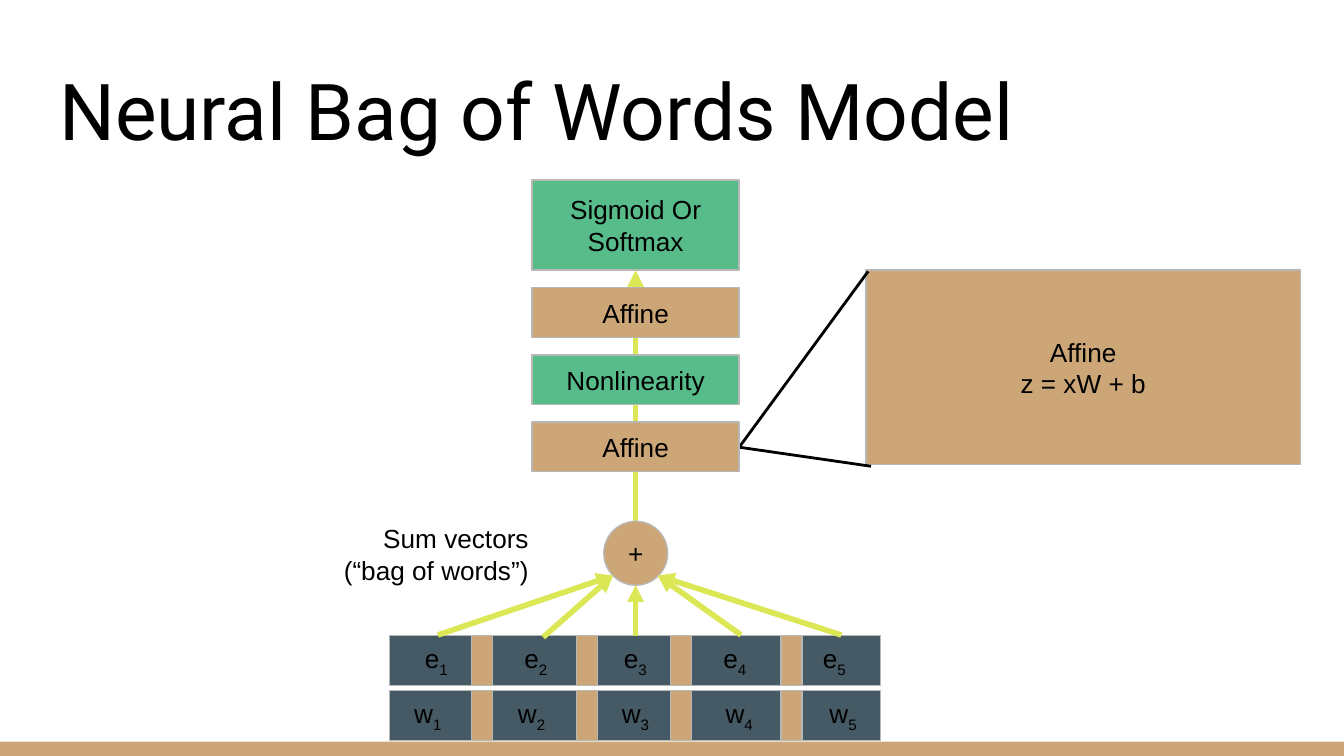
from dataclasses import dataclass

from lxml import etree
from pptx import Presentation
from pptx import util as u
from pptx.dml.color import RGBColor
from pptx.enum import shapes, text
from pptx.oxml import ns


@dataclass(frozen=True)
class Theme:
    tan: str = "CCA677"
    green: str = "57BB8A"
    slate: str = "455A64"
    lime: str = "DCE755"
    border: str = "B7B7B7"
    ink: str = "000000"
    title_font: str = "Roboto"
    label_font: str = "Arial"
    title_size: float = 42
    label_size: float = 14


@dataclass(frozen=True)
class Block:
    left: float
    top: float
    width: float
    height: float
    fill: str | None
    lines: tuple[str, ...] = ()
    kind: int = shapes.MSO_SHAPE.RECTANGLE
    border: str | None = Theme.border
    align: int = text.PP_ALIGN.CENTER


@dataclass(frozen=True)
class Link:
    start: tuple[float, float]
    end: tuple[float, float]
    color: str = Theme.lime
    width: float = 3
    arrow: bool = True


@dataclass(frozen=True)
class VectorRow:
    symbol: str
    top: float
    first: float
    pitch: float


THEME = Theme()
FRAME = {
    "word_wrap": True,
    "auto_size": text.MSO_AUTO_SIZE.NONE,
    "vertical_anchor": text.MSO_ANCHOR.MIDDLE,
    "margin_left": u.Pt(7.2),
    "margin_right": u.Pt(7.2),
    "margin_top": u.Pt(7.2),
    "margin_bottom": u.Pt(7.2),
}
LABEL_FONT = {"name": THEME.label_font, "size": u.Pt(THEME.label_size)}
TITLE_FONT = {"name": THEME.title_font, "size": u.Pt(THEME.title_size), "bold": False}

ROW_LEFT, ROW_WIDTH, ROW_HEIGHT = 208.8, 262.8, 26.6
GAP_LEFTS, GAP_WIDTH = (252.6, 308.8, 359.2, 418.4), 11.4
STACK_LEFT, STACK_WIDTH = 285.1, 110.9
CENTER = STACK_LEFT + STACK_WIDTH / 2
SUM_TOP, SUM_SIZE = 279.3, 34.2


def apply(target, values: dict) -> None:
    for name, value in values.items():
        setattr(target, name, value)


def add_run(paragraph, words: str, font: dict, baseline: int = 0) -> None:
    run = paragraph.add_run()
    run.text = words
    apply(run.font, font)
    run.font.color.rgb = RGBColor.from_string(THEME.ink)
    if baseline:
        run._r.get_or_add_rPr().set("baseline", str(baseline))


def draw_block(slide, block: Block):
    shape = slide.shapes.add_shape(
        block.kind, *map(u.Pt, (block.left, block.top, block.width, block.height)))
    shape.shadow.inherit = False
    if block.fill:
        shape.fill.solid()
        shape.fill.fore_color.rgb = RGBColor.from_string(block.fill)
    else:
        shape.fill.background()
    if block.border:
        shape.line.color.rgb = RGBColor.from_string(block.border)
        shape.line.width = u.Pt(0.75)
    else:
        shape.line.fill.background()
    frame = shape.text_frame
    apply(frame, FRAME)
    for index, line in enumerate(block.lines):
        paragraph = frame.add_paragraph() if index else frame.paragraphs[0]
        paragraph.alignment = block.align
        add_run(paragraph, line, LABEL_FONT)
    return shape


def draw_link(slide, link: Link) -> None:
    connector = slide.shapes.add_connector(
        shapes.MSO_CONNECTOR.STRAIGHT, *map(u.Pt, (*link.start, *link.end)))
    connector.line.color.rgb = RGBColor.from_string(link.color)
    connector.line.width = u.Pt(link.width)
    if link.arrow:
        etree.SubElement(connector.line._get_or_add_ln(), ns.qn("a:tailEnd"), type="triangle")
    etree.SubElement(connector._element.spPr, ns.qn("a:effectLst"))


def draw_vector_row(slide, row: VectorRow) -> None:
    bar = draw_block(slide, Block(ROW_LEFT, row.top, ROW_WIDTH, ROW_HEIGHT, THEME.slate))
    apply(bar.text_frame, {"margin_left": u.Pt(row.first), "margin_right": 0})
    paragraph = bar.text_frame.paragraphs[0]
    paragraph.alignment = text.PP_ALIGN.LEFT
    tabs = etree.SubElement(paragraph._p.get_or_add_pPr(), ns.qn("a:tabLst"))
    for index in range(5):
        if index:
            etree.SubElement(tabs, ns.qn("a:tab"), pos=str(u.Pt(index * row.pitch)), algn="l")
        add_run(paragraph, ("\t" if index else "") + row.symbol, LABEL_FONT)
        add_run(paragraph, str(index + 1), LABEL_FONT, -25000)
    for left in GAP_LEFTS:
        draw_block(slide, Block(left, row.top, GAP_WIDTH, ROW_HEIGHT, THEME.tan))


def draw_title(slide, words: str) -> None:
    title = slide.shapes.title
    apply(title, {"left": u.Pt(24.5), "top": u.Pt(25.2),
                  "width": u.Pt(671), "height": u.Pt(65.5)})
    apply(title.text_frame, FRAME | {"vertical_anchor": text.MSO_ANCHOR.BOTTOM})
    paragraph = title.text_frame.paragraphs[0]
    paragraph.alignment = text.PP_ALIGN.LEFT
    add_run(paragraph, words, TITLE_FONT)


def main() -> None:
    deck = Presentation()
    apply(deck, {"slide_width": u.Pt(720), "slide_height": u.Pt(405)})
    slide = deck.slides.add_slide(deck.slide_layouts[5])

    draw_block(slide, Block(0, 397.4, 720, 7.6, THEME.tan, border=None))
    draw_title(slide, "Neural Bag of Words Model")
    draw_block(slide, Block(STACK_LEFT, 96.5, STACK_WIDTH, 48.2, THEME.green,
                            ("Sigmoid Or Softmax",)))
    draw_link(slide, Link((CENTER, SUM_TOP), (CENTER, 144.7)))

    draw_block(slide, Block(463.9, 144.7, 232.8, 104.2, THEME.tan, ("Affine", "z = xW + b")))
    for corner in ((465.1, 145.4), (466.6, 249.8)):
        draw_link(slide, Link((STACK_LEFT + STACK_WIDTH, 239.6), corner, THEME.ink, 1.5, False))

    for row in (VectorRow("w", 370.1, 13.1, 55.6), VectorRow("e", 340.6, 18.8, 53.3)):
        draw_vector_row(slide, row)

    draw_block(slide, Block(CENTER - SUM_SIZE / 2, SUM_TOP, SUM_SIZE, SUM_SIZE, THEME.tan,
                            ("+",), shapes.MSO_SHAPE.OVAL))
    lower_left, lower_right = (328.4, 308.4), (352.4, 308.4)
    for start, end in (((234.6, 340.2), lower_left), ((291, 341.4), lower_left),
                       ((CENTER, 340.6), (CENTER, SUM_TOP + SUM_SIZE)),
                       ((397, 340.2), lower_right), ((450.7, 340.2), lower_right)):
        draw_link(slide, Link(start, end))

    layers = (("Affine", THEME.tan), ("Nonlinearity", THEME.green), ("Affine", THEME.tan))
    for index, (layer, fill) in enumerate(layers):
        draw_block(slide, Block(STACK_LEFT, 154.2 + 36 * index, STACK_WIDTH, 26.6, fill, (layer,)))

    draw_block(slide, Block(159.8, 281, 130.6, 31.7, None, ("Sum vectors", "(“bag of words”)"),
                            border=None, align=text.PP_ALIGN.RIGHT))
    deck.save("out.pptx")


if __name__ == "__main__":
    main()
